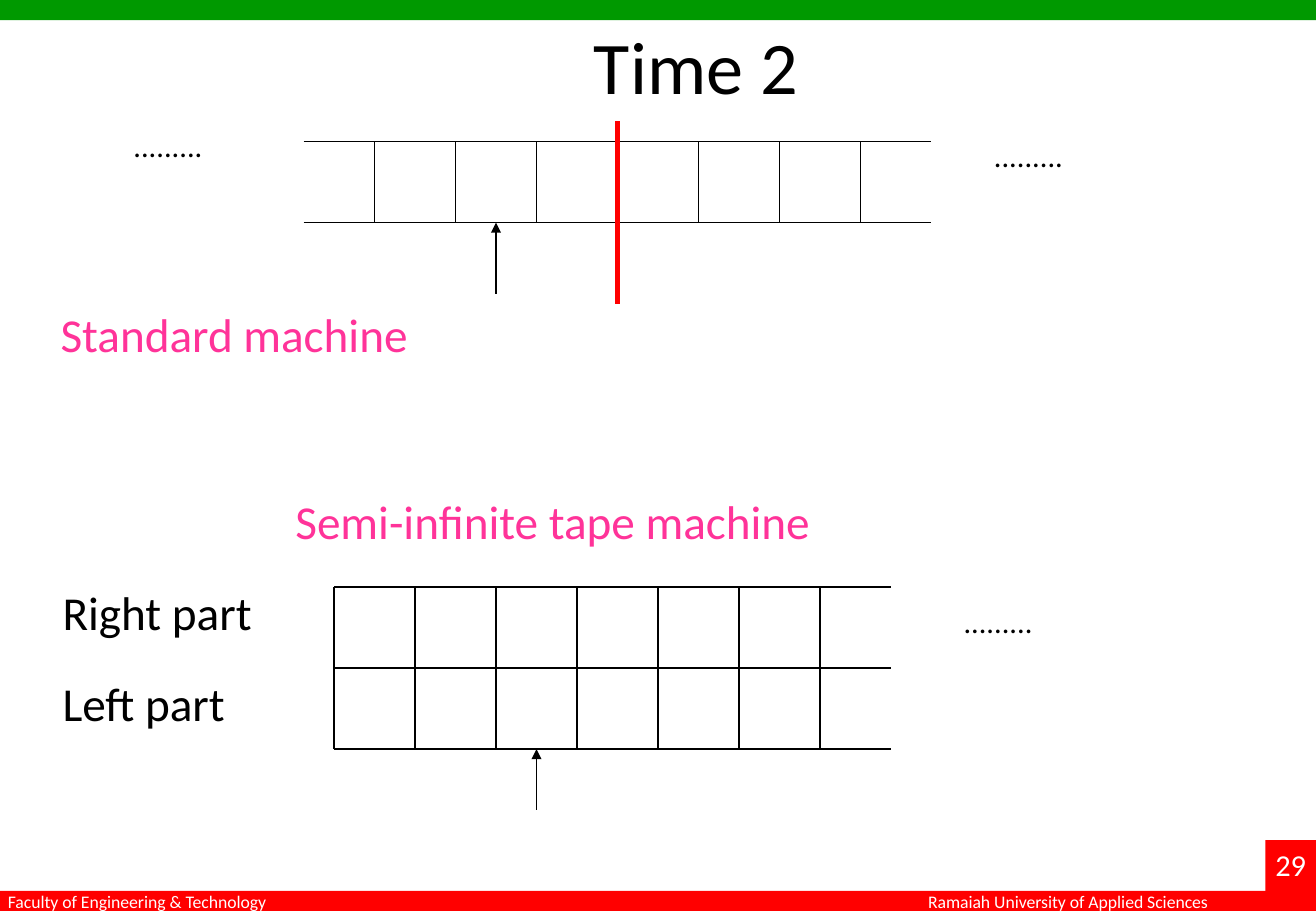
from lxml.etree import SubElement
from pptx import Presentation
from pptx.dml.color import RGBColor
from pptx.enum.shapes import MSO_CONNECTOR, MSO_SHAPE
from pptx.enum.text import MSO_AUTO_SIZE
from pptx.oxml.ns import qn
from pptx.util import Emu, Pt

BLACK = RGBColor(0x00, 0x00, 0x00)
WHITE = RGBColor(0xFF, 0xFF, 0xFF)
RED = RGBColor(0xFF, 0x00, 0x00)
GREEN = RGBColor(0x00, 0x99, 0x00)
PINK = RGBColor(0xFF, 0x33, 0x99)

EMU_PER_PX = 7620
SLIDE_WIDTH, SLIDE_HEIGHT = 1300, 900
CELL = 80


def px(length):
    return Emu(length * EMU_PER_PX)


class SlideBuilder:
    font_name = "Calibri"

    def __init__(self, slide):
        self.slide = slide

    def bar(self, left, top, width, height, color):
        shape = self.slide.shapes.add_shape(
            MSO_SHAPE.RECTANGLE, px(left), px(top), px(width), px(height))
        shape.shadow.inherit = False
        shape.fill.solid()
        shape.fill.fore_color.rgb = color
        shape.line.fill.background()

    def text(self, wording, left, top, width, height, size, color=BLACK):
        box = self.slide.shapes.add_textbox(px(left), px(top), px(width), px(height))
        frame = box.text_frame
        frame.word_wrap = False
        frame.auto_size = MSO_AUTO_SIZE.SHAPE_TO_FIT_TEXT
        run = frame.paragraphs[0].add_run()
        run.text = wording
        run.font.name = self.font_name
        run.font.size = Pt(size)
        run.font.color.rgb = color

    def line(self, start_x, start_y, end_x, end_y, color=BLACK, weight=0.75, arrow=False):
        connector = self.slide.shapes.add_connector(
            MSO_CONNECTOR.STRAIGHT, px(start_x), px(start_y), px(end_x), px(end_y))
        connector.line.color.rgb = color
        connector.line.width = Pt(weight)
        if arrow:
            SubElement(connector.line._get_or_add_ln(), qn("a:tailEnd"), type="triangle")
        SubElement(connector._element.spPr, qn("a:effectLst"))

    def tape(self, left, right, top, rows, first_divider, dividers):
        bottom = top + rows * CELL
        for row in range(rows + 1):
            self.line(left, top + row * CELL, right, top + row * CELL)
        for column in range(dividers):
            x = first_divider + column * CELL
            self.line(x, top, x, bottom)

    def head(self, x, start_y, tape_bottom):
        self.line(x, start_y, x, tape_bottom, arrow=True)


def main():
    presentation = Presentation()
    presentation.slide_width = px(SLIDE_WIDTH)
    presentation.slide_height = px(SLIDE_HEIGHT)
    builder = SlideBuilder(presentation.slides.add_slide(presentation.slide_layouts[6]))

    builder.bar(0, 880, SLIDE_WIDTH, 20, RED)
    builder.text("Ramaiah University of Applied Sciences", 905, 874, 306, 34, 10.5, WHITE)
    builder.text("Faculty of Engineering & Technology", -4, 874, 286, 34, 10.5, WHITE)
    builder.bar(0, 0, SLIDE_WIDTH, 20, GREEN)
    builder.bar(1250, 830, 50, 70, RED)
    builder.text("29", 1248, 830, 60, 48, 18, WHITE)
    builder.text("Time 2", 575, 14, 228, 101, 44)

    builder.tape(300, 920, 140, rows=1, first_divider=370, dividers=7)
    builder.head(490, 290, 220)
    builder.tape(330, 880, 580, rows=2, first_divider=330, dividers=7)
    builder.head(530, 800, 740)

    builder.text("Right part", 50, 570, 214, 68, 28)
    builder.text("Left part", 50, 660, 187, 68, 28)
    builder.text("Standard machine", 48, 296, 371, 68, 28, PINK)
    for left, top in ((970, 130), (120, 120), (940, 590)):
        builder.text(".........", left, top, 92, 48, 18)
    builder.text("Semi-infinite tape machine", 280, 480, 538, 68, 28, PINK)
    builder.line(610, 300, 610, 120, RED, 3)

    presentation.save("out.pptx")


if __name__ == "__main__":
    main()
